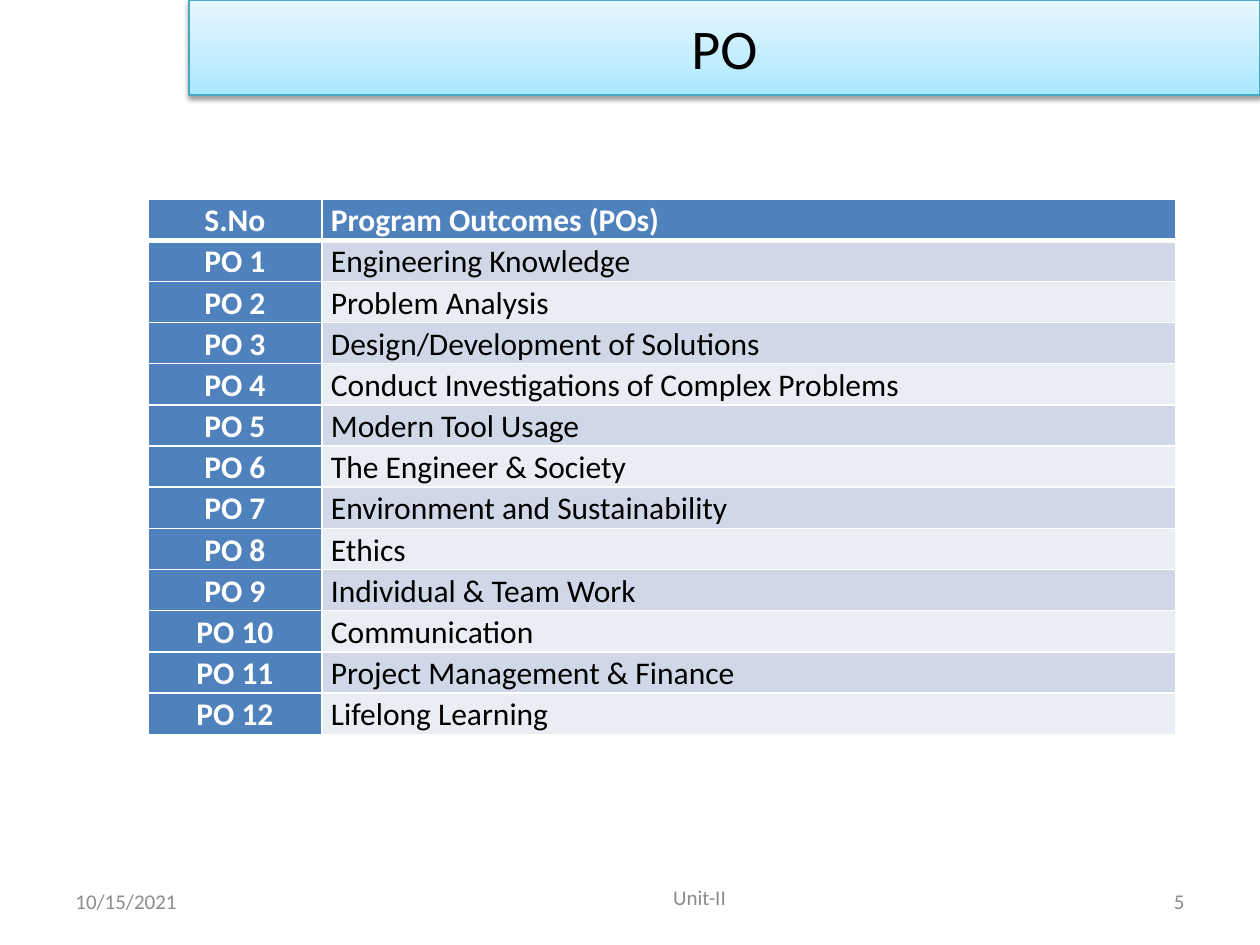
from lxml.etree import SubElement
from pptx import Presentation
from pptx.dml.color import RGBColor
from pptx.enum.shapes import MSO_SHAPE
from pptx.enum.text import MSO_ANCHOR, PP_ALIGN
from pptx.oxml.ns import qn
from pptx.util import Emu, Pt

SCALE = 914400 / 126


def px(n):
    return Emu(round(n * SCALE))


def color(value):
    return RGBColor.from_string(value)


def add(parent, tag, **attrs):
    return SubElement(parent, qn(tag), {k: str(v) for k, v in attrs.items()})


class Deck:
    font = "Calibri"
    blue, white, black, gray = "4F81BD", "FFFFFF", "000000", "8C8C8C"
    bands = ("D0D8E8", "E9EDF4")

    def __init__(self, width, height):
        self.prs = Presentation()
        self.prs.slide_width, self.prs.slide_height = px(width), px(height)
        self.s = self.prs.slides.add_slide(self.prs.slide_layouts[6])

    def set_text(self, tf, text, size, fill, align, bold=False):
        tf.text = text
        p = tf.paragraphs[0]
        p.alignment = align
        for r in p.runs:
            r.font.name, r.font.size, r.font.bold = self.font, Pt(size), bold
            r.font.color.rgb = color(fill)
        return p

    def text(self, x, y, w, h, text, align, indent=0):
        tf = self.s.shapes.add_textbox(px(x), px(y), px(w), px(h)).text_frame
        tf.word_wrap = True
        tf.vertical_anchor = MSO_ANCHOR.MIDDLE
        tf.margin_left += px(indent)
        self.set_text(tf, text, 12, self.gray, align)

    def banner(self, x, y, w, h, text, stops, line):
        sp = self.s.shapes.add_shape(MSO_SHAPE.RECTANGLE, px(x), px(y), px(w), px(h))
        sp.line.color.rgb, sp.line.width = color(line), Pt(0.75)
        sp.fill.gradient()
        sp.fill.gradient_angle = 90
        spPr = sp._element.spPr
        stop_list = spPr.find(".//" + qn("a:gsLst"))
        for stop in list(stop_list):
            stop_list.remove(stop)
        for pos, value in stops:
            add(add(stop_list, "a:gs", pos=pos * 1000), "a:srgbClr", val=value)
        sp.shadow.inherit = False
        shadow = add(spPr.find(qn("a:effectLst")), "a:outerShdw", blurRad=Pt(3.1),
                     dist=Pt(1.6), dir=5400000, rotWithShape=0)
        add(add(shadow, "a:srgbClr", val=self.black), "a:alpha", val=38000)
        sp.text_frame.vertical_anchor = MSO_ANCHOR.MIDDLE
        self.set_text(sp.text_frame, text, 32, self.black, PP_ALIGN.CENTER)

    def border(self, cell, bottom):
        tcPr = cell._tc.get_or_add_tcPr()
        for i, (side, width) in enumerate((("L", 1), ("R", 1), ("T", 1), ("B", bottom))):
            ln = add(tcPr, f"a:ln{side}", w=Pt(width))
            add(add(ln, "a:solidFill"), "a:srgbClr", val=self.white)
            tcPr.insert(i, ln)

    def table(self, x, y, widths, row_height, rows):
        table = self.s.shapes.add_table(len(rows), len(widths), px(x), px(y), px(sum(widths)),
                                        px(row_height * len(rows))).table
        for column, width in zip(table.columns, widths):
            column.width = px(width)
        for i, row in enumerate(rows):
            table.rows[i].height = px(row_height)
            for j, text in enumerate(row):
                cell = table.cell(i, j)
                head = i == 0 or j == 0
                cell.margin_left = cell.margin_right = px(9)
                cell.margin_top = cell.margin_bottom = 0
                cell.vertical_anchor = MSO_ANCHOR.MIDDLE
                cell.fill.solid()
                cell.fill.fore_color.rgb = color(self.blue if head else self.bands[(i - 1) % 2])
                p = self.set_text(cell.text_frame, text, 18, self.white if head else self.black,
                                  PP_ALIGN.LEFT if j else PP_ALIGN.CENTER, head)
                p.line_spacing = 1.07
                self.border(cell, 1 if i else 3)


OUTCOMES = [
    "Engineering Knowledge",
    "Problem Analysis",
    "Design/Development of Solutions",
    "Conduct Investigations of Complex Problems",
    "Modern Tool Usage",
    "The Engineer & Society",
    "Environment and Sustainability",
    "Ethics",
    "Individual & Team Work",
    "Communication",
    "Project Management & Finance",
    "Lifelong Learning",
]


def main():
    deck = Deck(1260, 945)
    rows = [("S.No", "Program Outcomes (POs)")]
    rows += [(f"PO {n}", name) for n, name in enumerate(OUTCOMES, 1)]
    deck.table(148, 199, (174, 854), 41, rows)
    deck.text(63, 876, 294, 50, "10/15/2021", PP_ALIGN.LEFT)
    deck.text(903, 876, 294, 50, "5", PP_ALIGN.RIGHT)
    deck.banner(189, 0, 1071, 95, "PO",
                [(0, "A7E6FF"), (35, "C1EDFF"), (100, "E7F8FF")], "46AAC5")
    deck.text(325, 872, 693, 50, "Unit-II", PP_ALIGN.CENTER, indent=56)
    deck.prs.save("out.pptx")


if __name__ == "__main__":
    main()
